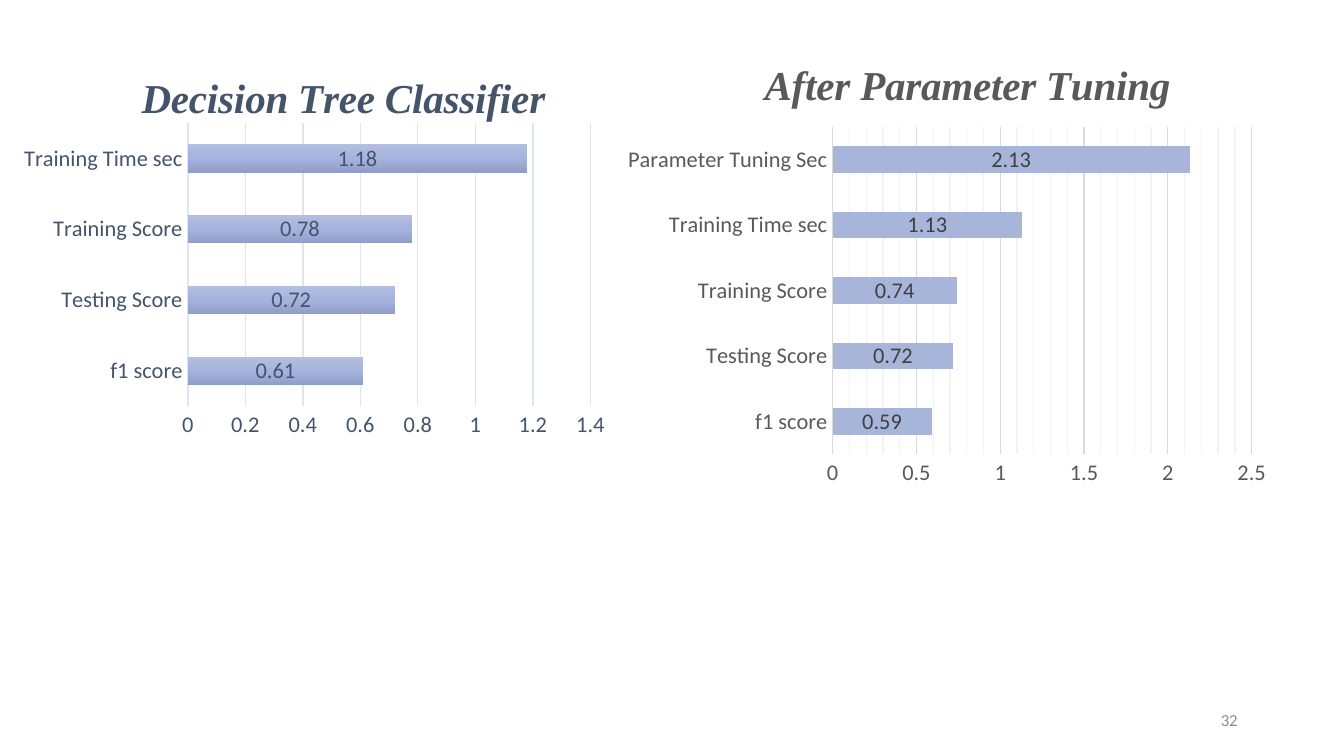
import copy
from dataclasses import dataclass

import pptx
import pptx.chart.data
import pptx.dml.color
import pptx.enum.chart
import pptx.enum.text
import pptx.oxml
import pptx.oxml.ns
import pptx.util

PX = 914400 / 134.4  # EMU in one px


@dataclass(frozen=True)
class Theme:
    body: str = "Calibri"
    heading: str = "Times New Roman"
    title_size: int = 22
    label_size: int = 12
    number_size: int = 9
    number: str = "8C8C8C"
    slate: str = "44546A"
    gray: str = "595959"
    dark: str = "404040"
    pale_line: str = "E0E5EB"
    gray_line: str = "D9D9D9"
    minor_line: str = "F2F2F2"
    gradients: tuple = (("B3BEE0", "A5B3DE", "8F9EC8"),
                        ("6183CB", "3E70CA", "3062BB"),
                        ("5973AE", "335DA8", "29519A"))
    solids: tuple = (("A8B5DB",), ("4472C4",), ("385FA3",))


def px(n):
    return pptx.util.Emu(round(n * PX))


def rgb(color):
    return pptx.dml.color.RGBColor.from_string(color)


class Deck:
    def __init__(self, prs, theme):
        self.theme = theme
        self.s = prs.slides.add_slide(prs.slide_layouts[6])

    def style(self, font, size, color, name=None):
        font.size = pptx.util.Pt(size)
        font.name = name or self.theme.body
        font.color.rgb = rgb(color)

    def line(self, fmt, color):
        if color is None:
            fmt.line.fill.background()
        else:
            fmt.line.color.rgb = rgb(color)
            fmt.line.width = pptx.util.Pt(0.75)

    def text(self, box, text, size, color):
        tf = self.s.shapes.add_textbox(*map(px, box)).text_frame
        tf.word_wrap = True
        tf.vertical_anchor = pptx.enum.text.MSO_ANCHOR.MIDDLE
        p = tf.paragraphs[0]
        p.alignment = pptx.enum.text.PP_ALIGN.RIGHT
        r = p.add_run()
        r.text = text
        self.style(r.font, size, color)

    def layout(self, parent, index, **values):
        """Place a chart part by fractions of the chart's size."""
        for old in parent.findall(pptx.oxml.ns.qn("c:layout")):
            parent.remove(old)
        target = '<c:layoutTarget val="inner"/>' if "w" in values else ""
        parts = "".join(f'<c:{k} val="{v}"/>' for k, v in values.items())
        parent.insert(index, pptx.oxml.parse_xml(
            f'<c:layout {pptx.oxml.ns.nsdecls("c")}><c:manualLayout>{target}'
            f'<c:xMode val="edge"/><c:yMode val="edge"/>{parts}'
            '</c:manualLayout></c:layout>'))

    def shape_xml(self, content):
        return pptx.oxml.parse_xml(
            f'<c:spPr {pptx.oxml.ns.nsdecls("c", "a")}>{content}</c:spPr>')

    def fill(self, series, colors):
        fill = series.format.fill
        if len(colors) == 1:
            fill.solid()
            fill.fore_color.rgb = rgb(colors[0])
            return
        fill.gradient()
        fill.gradient_angle = 270
        first = series._element.xpath(".//a:gs")[0]
        first.addnext(copy.deepcopy(first))
        for i, (stop, color) in enumerate(zip(fill.gradient_stops, colors)):
            stop.color.rgb = rgb(color)
            stop.position = i / (len(colors) - 1)

    def bar_chart(self, box, title, title_at, plot, cats, vals, fills, color,
                  label_color, grid, axis_line, top, step, minor=None):
        t = self.theme
        data = pptx.chart.data.CategoryChartData()
        data.categories = cats
        for i in range(3):
            data.add_series(f"Series {i + 1}", [None] * len(cats) if i else vals)
        chart = self.s.shapes.add_chart(
            pptx.enum.chart.XL_CHART_TYPE.BAR_STACKED, *map(px, box), data).chart
        chart.has_legend = False
        self.style(chart.font, 10, "000000")
        # Clear background, so that overlapping charts both show
        chart.element.xpath("c:chart")[0].addnext(
            self.shape_xml("<a:noFill/><a:ln><a:noFill/></a:ln>"))

        # Title and plot area
        r = chart.chart_title.text_frame.paragraphs[0].add_run()
        r.text = title
        r.font.bold = r.font.italic = True
        self.style(r.font, t.title_size, color, t.heading)
        self.layout(chart.element.xpath("c:chart/c:title")[0], 1,
                    x=title_at[0], y=title_at[1])
        self.layout(chart.element.xpath("c:chart/c:plotArea")[0], 0,
                    **dict(zip("xywh", plot)))

        # Axes and gridlines
        cat, val = chart.category_axis, chart.value_axis
        for axis, line in ((cat, axis_line), (val, None)):
            axis.major_tick_mark = pptx.enum.chart.XL_TICK_MARK.NONE
            axis.minor_tick_mark = pptx.enum.chart.XL_TICK_MARK.NONE
            self.style(axis.tick_labels.font, t.label_size, color)
            self.line(axis.format, line)
        val.minimum_scale, val.maximum_scale, val.major_unit = 0, top, step
        val.has_major_gridlines = True
        self.line(val.major_gridlines.format, grid)
        if minor:
            val.minor_unit = minor
            val.has_minor_gridlines = True
            chart.element.xpath(".//c:valAx/c:minorGridlines")[0].append(
                self.shape_xml('<a:ln w="9525"><a:solidFill><a:srgbClr '
                               f'val="{t.minor_line}"/></a:solidFill></a:ln>'))

        # Bars and labels
        bars = chart.plots[0]
        bars.gap_width, bars.overlap = 150, 100
        bars.vary_by_categories = False
        for series, colors in zip(bars.series, fills):
            self.fill(series, colors)
            labels = series.data_labels
            labels.show_value = True
            self.style(labels.font, t.label_size, label_color)


def main():
    prs = pptx.Presentation()
    prs.slide_width, prs.slide_height = px(1344), px(756)
    t = Theme()
    deck = Deck(prs, t)
    scores = ["f1 score", "Testing Score", "Training Score", "Training Time sec"]

    # Slide number
    deck.text((949, 700, 302, 40), "32", t.number_size, t.number)

    # Scores before tuning
    deck.bar_chart((0, 38, 671, 449), "Decision Tree Classifier", (0.2, 0.06),
                   (0.28, 0.19, 0.6, 0.63), scores,
                   (0.61, 0.72, 0.78, 1.18), t.gradients, t.slate, t.slate,
                   t.pale_line, t.pale_line, top=1.4, step=0.2)

    # Scores after tuning
    deck.bar_chart((606, 38, 687, 468), "After Parameter Tuning", (0.22, 0.03),
                   (0.33, 0.19, 0.61, 0.7),
                   scores + ["Parameter Tuning Sec"],
                   (0.59, 0.72, 0.74, 1.13, 2.13), t.solids, t.gray, t.dark,
                   t.gray_line, None, top=2.5, step=0.5, minor=0.1)

    prs.save("out.pptx")


if __name__ == "__main__":
    main()
